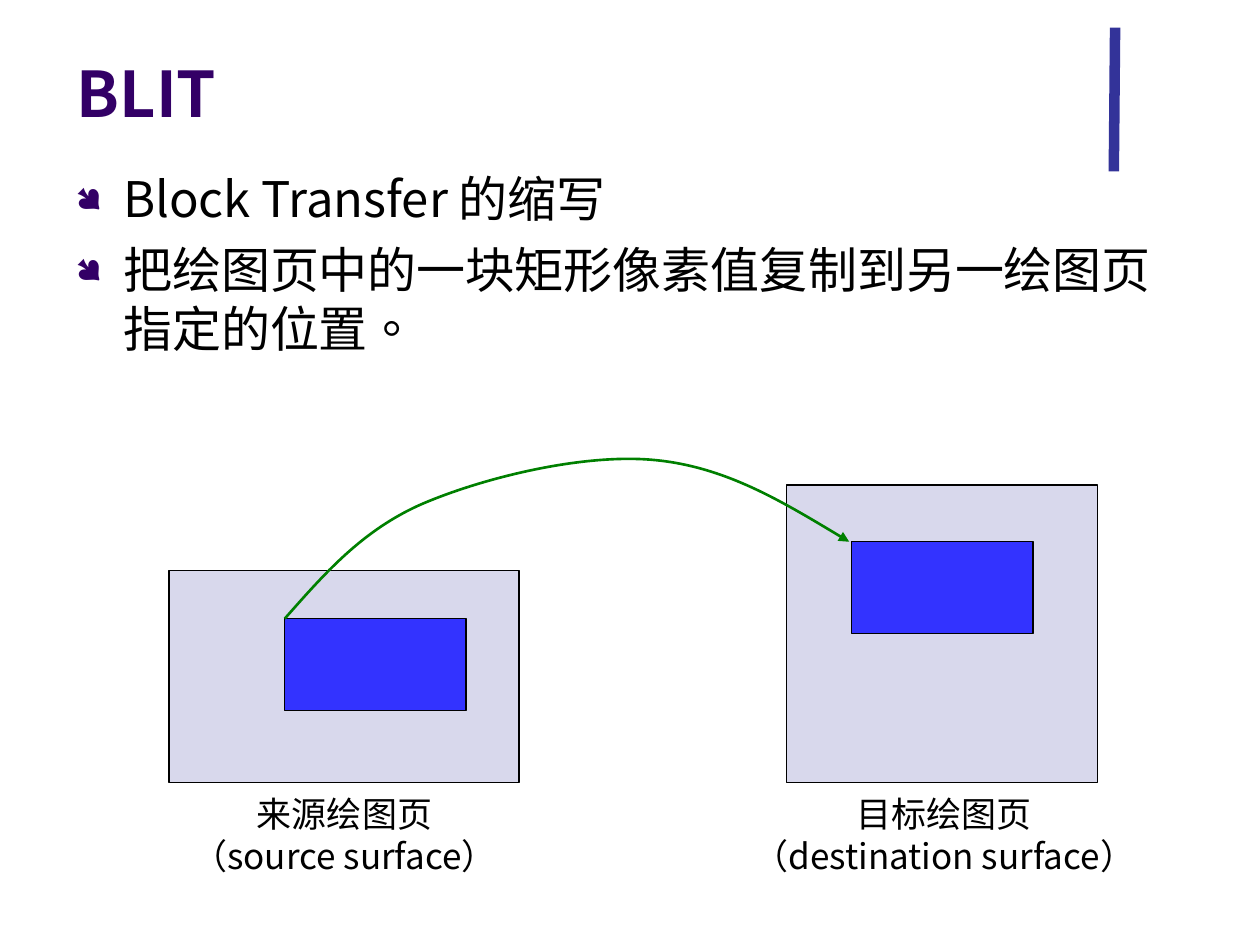
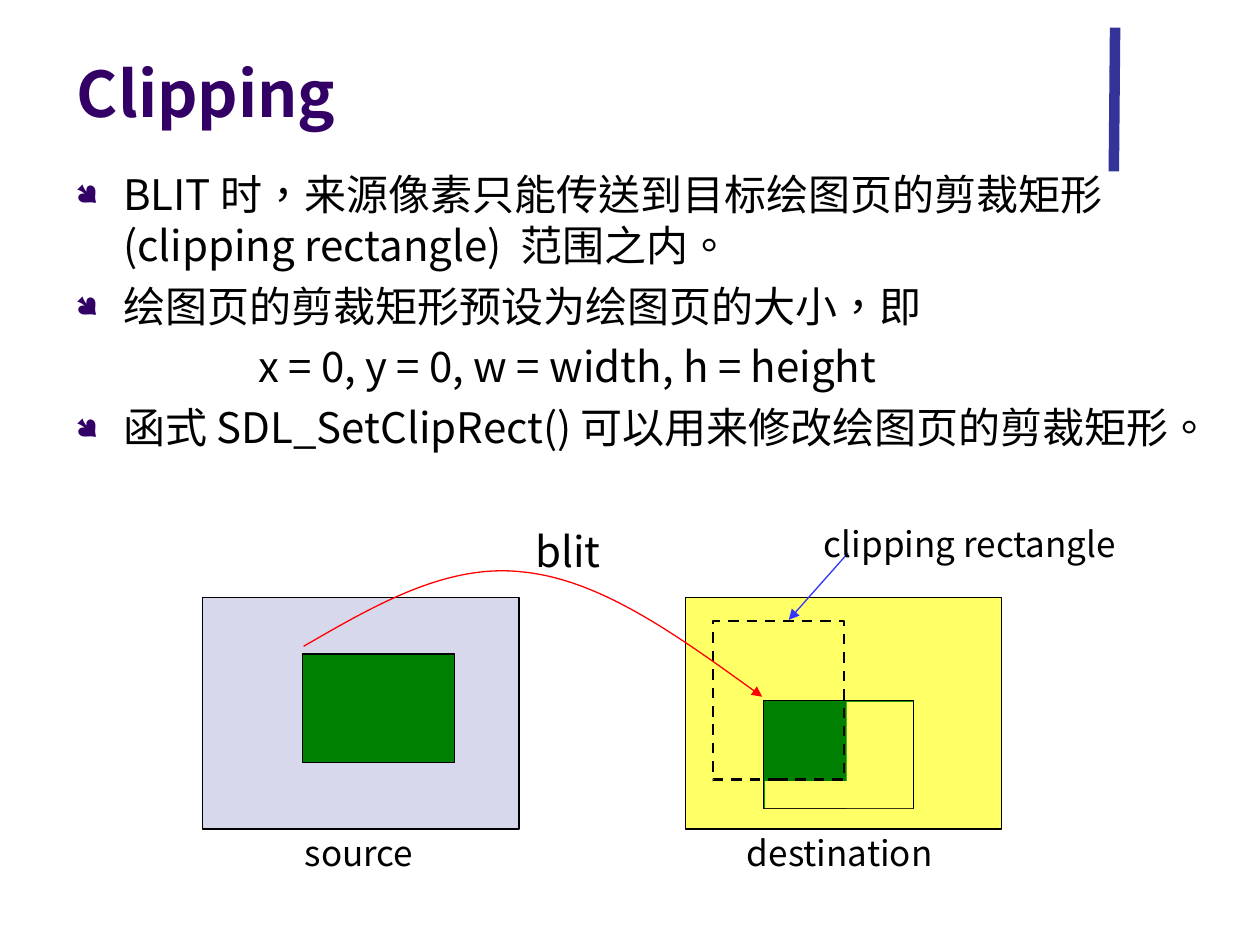
from lxml import etree
from pptx import Presentation
from pptx import util as u
from pptx.dml.color import RGBColor
from pptx.enum import dml, shapes, text
from pptx.oxml.ns import qn

WIDTH, HEIGHT = u.Inches(10), u.Inches(7.5)
COLUMN, ROW = WIDTH / 100, HEIGHT / 75

FONT = "Noto Sans CJK SC"
PURPLE = RGBColor(0x33, 0x00, 0x66)
INDIGO = RGBColor(0x33, 0x33, 0x99)
BLUE = RGBColor(0x33, 0x33, 0xFF)
LAVENDER = RGBColor(0xD8, 0xD8, 0xEC)
GREEN = RGBColor(0x00, 0x80, 0x00)
YELLOW = RGBColor(0xFF, 0xFF, 0x66)
RED = RGBColor(0xFF, 0x00, 0x00)
BLACK = RGBColor(0x00, 0x00, 0x00)


def cell(column, row):
    return round(column * COLUMN), round(row * ROW)


def area(left, top, width, height):
    return *cell(left, top), *cell(width, height)


def add_child(parent, tag, **attributes):
    return etree.SubElement(parent, qn(tag), attributes)


def style_runs(paragraph, size, color=BLACK, bold=False):
    for run in paragraph.runs:
        run.font.size = u.Pt(size)
        run.font.name = FONT
        run.font.bold = bold
        run.font.color.rgb = color
        properties = run._r.get_or_add_rPr()
        properties.set("lang", "zh-TW")
        add_child(properties, "a:ea", typeface=FONT)


def style_line(line, color, width, dash=None):
    line.color.rgb = color
    line.width = u.Pt(width)
    if dash:
        line.dash_style = dash


def add_arrowhead(line):
    add_child(line._get_or_add_ln(), "a:tailEnd", type="triangle")


def add_line(slide, start, end, color, width):
    connector = slide.shapes.add_connector(
        shapes.MSO_CONNECTOR.STRAIGHT, *cell(*start), *cell(*end))
    style_line(connector.line, color, width)
    add_child(connector._element.spPr, "a:effectLst")
    return connector


def add_titled_slide(deck, heading):
    slide = deck.slides.add_slide(deck.slide_layouts[5])
    add_line(slide, (88.5, 2.2), (88.4, 13.6), INDIGO, 6)
    title = slide.shapes.title
    title.left, title.top, title.width, title.height = area(5.1, 2.8, 82.5, 8)
    frame = title.text_frame
    frame.text = heading
    frame.vertical_anchor = text.MSO_ANCHOR.BOTTOM
    frame.auto_size = text.MSO_AUTO_SIZE.NONE
    frame.paragraphs[0].alignment = text.PP_ALIGN.LEFT
    style_runs(frame.paragraphs[0], 36, PURPLE, True)
    return slide


def add_text(slide, place, lines, size, alignment=text.PP_ALIGN.LEFT):
    frame = slide.shapes.add_textbox(*area(*place)).text_frame
    frame.word_wrap = True
    frame.text = "\n".join(lines)
    for paragraph in frame.paragraphs:
        paragraph.alignment = alignment
        style_runs(paragraph, size)
    return frame.paragraphs


def add_points(slide, height, points, size, unbulleted=()):
    paragraphs = add_text(slide, (5, 12.9, 90, height), points, size)
    for index, paragraph in enumerate(paragraphs):
        properties = paragraph._p.get_or_add_pPr()
        if index:
            paragraph.space_before = u.Pt(size / 4)
        if index in unbulleted:
            properties.set("marL", str(u.Inches(1.45)))
            continue
        properties.set("marL", str(u.Inches(0.38)))
        properties.set("indent", str(-u.Inches(0.38)))
        bullet_color = add_child(properties, "a:buClr")
        add_child(bullet_color, "a:srgbClr", val=str(PURPLE))
        add_child(properties, "a:buSzPct", val="70000")
        add_child(properties, "a:buFont", typeface="Wingdings")
        add_child(properties, "a:buChar", char="●")


def add_block(slide, place, fill=None, outline=0.75, dash=None):
    block = slide.shapes.add_shape(shapes.MSO_SHAPE.RECTANGLE, *area(*place))
    block.shadow.inherit = False
    if fill is None:
        block.fill.background()
    else:
        block.fill.solid()
        block.fill.fore_color.rgb = fill
    if outline:
        style_line(block.line, BLACK, outline, dash)
    else:
        block.line.fill.background()


def add_curved_arrow(slide, points, color, width):
    start, *rest = [cell(*point) for point in points]
    builder = slide.shapes.build_freeform(*start)
    builder.add_line_segments(rest, close=False)
    curve = builder.convert_to_shape()
    curve.shadow.inherit = False
    curve.fill.background()
    style_line(curve.line, color, width)
    add_arrowhead(curve.line)
    outline = next(curve._element.iter(qn("a:path")))
    segments = outline.findall(qn("a:lnTo"))
    for first in range(0, len(segments), 3):
        bezier = add_child(outline, "a:cubicBezTo")
        for segment in segments[first:first + 3]:
            bezier.append(segment[0])
            outline.remove(segment)


def build_blit(deck):
    slide = add_titled_slide(deck, "BLIT")
    add_points(slide, 19.7, [
        "Block Transfer 的缩写",
        "把绘图页中的一块矩形像素值复制到另一绘图页指定的位置。",
    ], 28)
    for surface in ((13.4, 45.3, 27.8, 16.8), (62.4, 38.5, 24.7, 23.6)):
        add_block(slide, surface, LAVENDER)
    for corner in ((22.6, 49.1), (67.6, 43)):
        add_block(slide, (*corner, 14.4, 7.3), BLUE)
    add_curved_arrow(slide, [
        (22.6, 49.1), (25.7, 45.6), (28.7, 42.1), (33.5, 40),
        (38.4, 37.9), (46.2, 36), (51.8, 36.5),
        (57.5, 37), (62.4, 40), (67.4, 43),
    ], GREEN, 1.5)
    for left, width, caption in (
            (11.2, 32.3, ["来源绘图页", "（source surface）"]),
            (54.6, 40.7, ["目标绘图页", "（destination surface）"])):
        add_text(slide, (left, 62.4, width, 7.7), caption, 20,
                 text.PP_ALIGN.CENTER)


def build_clipping(deck):
    slide = add_titled_slide(deck, "Clipping")
    add_points(slide, 28.7, [
        "BLIT 时，来源像素只能传送到目标绘图页的剪裁矩形 (clipping rectangle)  范围之内。",
        "绘图页的剪裁矩形预设为绘图页的大小，即",
        "x = 0, y = 0, w = width, h = height",
        "函式 SDL_SetClipRect() 可以用来修改绘图页的剪裁矩形。",
    ], 24, unbulleted=(2,))

    for left, fill in ((16.1, LAVENDER), (54.4, YELLOW)):
        add_block(slide, (left, 47.4, 25.1, 18.4), fill)
    add_block(slide, (24, 51.9, 12.1, 8.6), GREEN)
    left, top, width, height = target = (60.6, 55.6, 11.9, 8.6)
    clip = (56.6, 49.3, 10.4, 12.6)
    clip_right, clip_bottom = clip[0] + clip[2], clip[1] + clip[3]
    add_block(slide, target, GREEN)
    add_block(slide, clip, outline=1.5, dash=dml.MSO_LINE.DASH)
    gap = 0.1
    right, bottom = left + width - gap / 2, top + height - gap / 2
    for hidden_left, hidden_top in (
            (clip_right + 2 * gap, top + gap),
            (left + gap, clip_bottom + gap)):
        add_block(slide, (hidden_left, hidden_top, right - hidden_left,
                          bottom - hidden_top), YELLOW, outline=None)

    add_curved_arrow(slide, [
        (24.1, 51.3), (29.8, 48), (35.5, 44.7), (41.5, 45.4),
        (47.6, 46), (54, 50.6), (60.5, 55.3),
    ], RED, 0.75)
    pointer = add_line(slide, (67.3, 43.9), (62.6, 49.2), BLUE, 0.75)
    add_arrowhead(pointer.line)
    for left, top, width, label, size in (
            (58.3, 65.5, 20.4, "destination", 20),
            (23.2, 65.5, 12, "source", 20),
            (64.4, 41, 32.1, "clipping rectangle", 20),
            (41.5, 41.2, 10, "blit", 24)):
        add_text(slide, (left, top, width, size / 5), [label], size)


def main():
    deck = Presentation()
    deck.slide_width, deck.slide_height = WIDTH, HEIGHT
    build_blit(deck)
    build_clipping(deck)
    deck.save("out.pptx")


if __name__ == "__main__":
    main()
